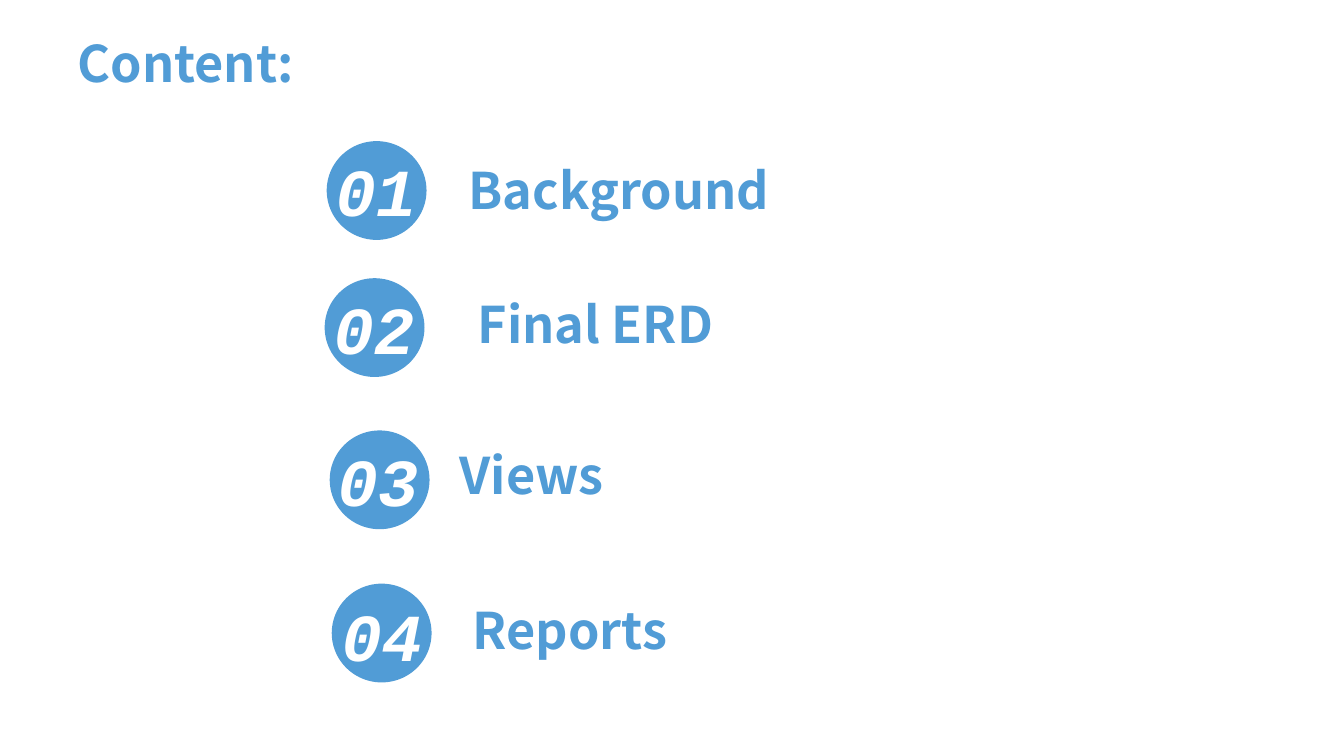
from pptx import Presentation
from pptx.dml.color import RGBColor
from pptx.enum.shapes import MSO_SHAPE as Shape
from pptx.enum.text import MSO_AUTO_SIZE as AutoSize, PP_ALIGN as Align
from pptx.util import Emu, Pt

PX = 9144  # EMU per px, 100 px to the inch
COLORS = {"blue": "519CD6", "white": "FFFFFF"}
HEADING_FONT = "Noto Sans CJK SC"
NUMBER_FONT = "Courier New"


def color(name):
    return RGBColor.from_string(COLORS[name])


def write_text(frame, text, font=HEADING_FONT, size=36, ink="blue",
               italic=False, align=Align.JUSTIFY, spacing=None, before=None):
    frame.word_wrap = True
    frame.auto_size = AutoSize.SHAPE_TO_FIT_TEXT
    paragraph = frame.paragraphs[0]
    paragraph.alignment = align
    if spacing:
        paragraph.line_spacing = spacing
    if before:
        paragraph.space_before = Pt(before)
    run = paragraph.add_run()
    run.text = text
    run.font.name = font
    run.font.size = Pt(size)
    run.font.bold = True
    run.font.italic = italic
    run.font.color.rgb = color(ink)


class ContentSlide:
    def __init__(self, deck):
        self.slide = deck.slides.add_slide(deck.slide_layouts[6])

    def label(self, box, text, **style):
        textbox = self.slide.shapes.add_textbox(*(Emu(n * PX) for n in box))
        write_text(textbox.text_frame, text, **style)

    def disc(self, left, top, width=99, height=98):
        circle = self.slide.shapes.add_shape(
            Shape.OVAL, *(Emu(n * PX) for n in (left, top, width, height)))
        circle.shadow.inherit = False
        circle.fill.solid()
        circle.fill.fore_color.rgb = color("blue")
        circle.line.fill.background()

    def number(self, left, top, text):
        self.label((left, top, 112, 91), text, font=NUMBER_FONT, size=48,
                   ink="white", italic=True, align=Align.LEFT)


def main():
    deck = Presentation()
    deck.slide_width, deck.slide_height = Emu(1333 * PX), Emu(750 * PX)
    content = ContentSlide(deck)

    # Heading
    content.label((67, 27, 373, 71), "Content:")

    # Agenda: topic, disc corner, number corner, topic box, paragraph style
    tight = {"spacing": 0.9, "before": 10}
    agenda = [
        ("Background", (324, 140), (323, 143), (455, 153, 360, 71), {}),
        ("Final ERD", (322, 276), (321, 280), (464, 293, 295, 65), tight),
        ("Views", (327, 427), (325, 431), (446, 436, 186, 71), {}),
        ("Reports", (329, 579), (329, 585), (459, 596, 238, 65), tight),
    ]
    for index, (topic, disc, number, box, style) in enumerate(agenda, 1):
        content.disc(*disc)
        content.number(*number, f"{index:02}")
        content.label(box, topic, **style)

    deck.save("out.pptx")


if __name__ == "__main__":
    main()
